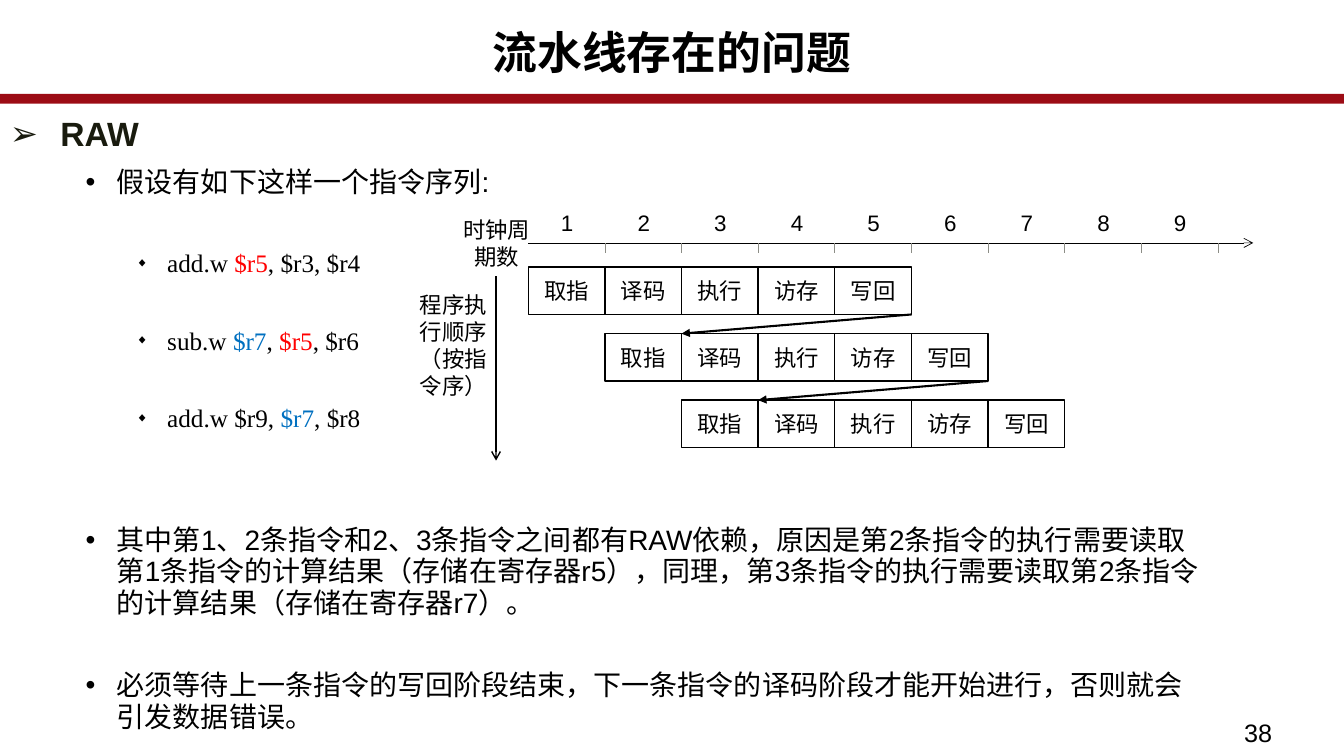
from dataclasses import dataclass

from lxml.etree import SubElement
from pptx import Presentation
from pptx.dml.color import RGBColor
from pptx.enum.shapes import MSO_CONNECTOR, MSO_SHAPE
from pptx.enum.text import MSO_ANCHOR, PP_ALIGN
from pptx.oxml.ns import qn
from pptx.util import Inches, Pt


@dataclass(frozen=True)
class Theme:
    black: str = "000000"
    heading: str = "191B0E"
    bar: str = "9C0C15"
    red: str = "FF0000"
    blue: str = "0070C0"
    tick: str = "8C8D86"
    sans: str = "Arial"
    serif: str = "Times New Roman"
    title_size: int = 32
    heading_size: int = 24
    body_size: int = 20
    code_size: int = 18
    label_size: int = 16


@dataclass(frozen=True)
class Box:
    left: float
    top: float
    width: float
    height: float

    def inches(self):
        return [Inches(side) for side in (self.left, self.top, self.width, self.height)]


@dataclass(frozen=True)
class ListStyle:
    char: str
    margin: float
    hang: float
    size: int
    font: str = Theme.sans
    scale: int = 100
    bold: bool = False
    gap: int = 0


THEME = Theme()
HEADING = ListStyle("➢", 0.5, 0.5, THEME.heading_size, bold=True)
POINT = ListStyle("•", 0.89, 0.31, THEME.body_size, gap=36)
CODE = ListStyle("◆", 1.39, 0.31, THEME.code_size, THEME.serif, scale=50, gap=35)

STAGES = ["取指", "译码", "执行", "访存", "写回"]
INSTRUCTIONS = [
    [("add.w ", THEME.black), ("$r5", THEME.red), (", $r3, $r4", THEME.black)],
    [("sub.w ", THEME.black), ("$r7", THEME.blue), (", ", THEME.black),
     ("$r5", THEME.red), (", $r6", THEME.black)],
    [("add.w $r9, ", THEME.black), ("$r7", THEME.blue), (", $r8", THEME.black)],
]
NOTES = [
    "其中第1、2条指令和2、3条指令之间都有RAW依赖，原因是第2条指令的执行需要读取第1条指令的计算结果"
    "（存储在寄存器r5），同理，第3条指令的执行需要读取第2条指令的计算结果（存储在寄存器r7）。",
    "必须等待上一条指令的写回阶段结束，下一条指令的译码阶段才能开始进行，否则就会引发数据错误。",
]


def add_span(para, text, size, color=THEME.black, font=THEME.sans, bold=False):
    span = para.add_run()
    span.text = text
    span.font.size = Pt(size)
    span.font.name = font
    span.font.bold = bold
    span.font.color.rgb = RGBColor.from_string(color)


def add_bullet(para, style):
    properties = para._p.get_or_add_pPr()
    properties.set("marL", str(Inches(style.margin)))
    properties.set("indent", str(-Inches(style.hang)))
    SubElement(properties, qn("a:buSzPct")).set("val", str(style.scale * 1000))
    SubElement(properties, qn("a:buFont")).set("typeface", THEME.sans)
    SubElement(properties, qn("a:buChar")).set("char", style.char)


def add_list(page, box, style, items):
    frame = page.shapes.add_textbox(*box.inches()).text_frame
    frame.word_wrap = True
    for index, spans in enumerate(items):
        para = frame.add_paragraph() if index else frame.paragraphs[0]
        add_bullet(para, style)
        para.line_spacing = 0.94
        if index:
            para.space_before = Pt(style.gap)
        for text, color in spans:
            add_span(para, text, style.size, color, style.font, style.bold)


def add_line(page, start, end, color, width, head=None):
    points = [Inches(value) for value in (*start, *end)]
    line = page.shapes.add_connector(MSO_CONNECTOR.STRAIGHT, *points)
    line.line.color.rgb = RGBColor.from_string(color)
    line.line.width = Pt(width)
    if head:
        SubElement(line.line._get_or_add_ln(), qn("a:tailEnd")).set("type", head)
    SubElement(line._element.spPr, qn("a:effectLst"))


def center_text(shape, text):
    frame = shape.text_frame
    frame.word_wrap = True
    frame.vertical_anchor = MSO_ANCHOR.MIDDLE
    para = frame.paragraphs[0]
    para.alignment = PP_ALIGN.CENTER
    add_span(para, text, THEME.label_size)


def add_label(page, box, text):
    center_text(page.shapes.add_textbox(*box.inches()), text)


def add_stage(page, box, text):
    stage = page.shapes.add_shape(MSO_SHAPE.RECTANGLE, *box.inches())
    stage.shadow.inherit = False
    stage.fill.background()
    stage.line.color.rgb = RGBColor.from_string(THEME.black)
    stage.line.width = Pt(1)
    center_text(stage, text)


def add_header(page, box):
    bar_box = Box(box.left, box.top + 0.95, box.width, 0.06)
    bar = page.shapes.add_shape(MSO_SHAPE.ROUNDED_RECTANGLE, *bar_box.inches())
    bar.shadow.inherit = False
    bar.fill.solid()
    bar.fill.fore_color.rgb = bar.line.color.rgb = RGBColor.from_string(THEME.bar)
    bar.line.width = Pt(2.75)
    title = page.shapes.title
    title_box = Box(box.left, box.top + 0.26, box.width, 0.75)
    title.left, title.top, title.width, title.height = title_box.inches()
    title.text_frame.vertical_anchor = MSO_ANCHOR.TOP
    para = title.text_frame.paragraphs[0]
    para.alignment = PP_ALIGN.CENTER
    para.line_spacing = 0.89
    add_span(para, "流水线存在的问题", THEME.title_size, bold=True)


def add_body(page, box):
    width = box.width - 1
    left = box.left + 0.17
    add_list(page, Box(box.left, box.top, box.width, 0.5), HEADING, [[("RAW", THEME.heading)]])
    add_list(page, Box(left, box.top + 0.51, width, 0.45), POINT,
             [[("假设有如下这样一个指令序列:", THEME.black)]])
    add_list(page, Box(left, box.top + 1.33, 3.8, 1.95), CODE, INSTRUCTIONS)
    add_list(page, Box(left, box.top + 4.06, width, 2.2), POINT,
             [[(note, THEME.black)] for note in NOTES])


def add_pipeline(page, box):
    cycles, step, row_step, height = 9, 0.76, 0.66, 0.47
    left, axis = box.left + 1.19, box.top + 0.44
    first_row = box.top + 0.68
    label_width = 0.89
    add_line(page, (left, axis), (box.left + box.width, axis), THEME.black, 0.5, "arrow")
    order = box.left + 0.87
    add_line(page, (order, axis + 0.33), (order, box.top + box.height), THEME.black, 1, "arrow")
    add_label(page, Box(box.left + 0.43, box.top + 0.21, label_width, height), "时钟周期数")
    add_label(page, Box(box.left, box.top + 1.22, label_width, height), "程序执行顺序（按指令序）")
    for cycle in range(cycles):
        tick = left + (cycle + 1) * step
        add_line(page, (tick, axis + 0.1), (tick, axis), THEME.tick, 0.5)
        label_left = left - 0.06 + cycle * step
        add_label(page, Box(label_left, box.top, label_width, height), str(cycle + 1))
    for row in range(len(INSTRUCTIONS)):
        row_left, row_top = left + row * step, first_row + row * row_step
        for column, stage in enumerate(STAGES):
            add_stage(page, Box(row_left + column * step, row_top, step, height), stage)
        if row:
            written = (row_left + (len(STAGES) - 1) * step, row_top - row_step + height)
            add_line(page, written, (row_left + step, row_top), THEME.black, 1.5, "triangle")


def add_page_number(page, box):
    frame = page.shapes.add_textbox(*box.inches()).text_frame
    frame.word_wrap = True
    add_span(frame.paragraphs[0], "38", THEME.code_size)


def main():
    deck = Presentation()
    deck.slide_width, deck.slide_height = Inches(13.33), Inches(7.5)
    page = deck.slides.add_slide(deck.slide_layouts[5])
    add_header(page, Box(0, 0, 13.33, 1.01))
    add_body(page, Box(0, 1.1, 12.85, 6.3))
    add_pipeline(page, Box(4.05, 1.97, 8.38, 2.6))
    add_page_number(page, Box(12.24, 7.07, 1.09, 0.43))
    deck.save("out.pptx")


if __name__ == "__main__":
    main()
